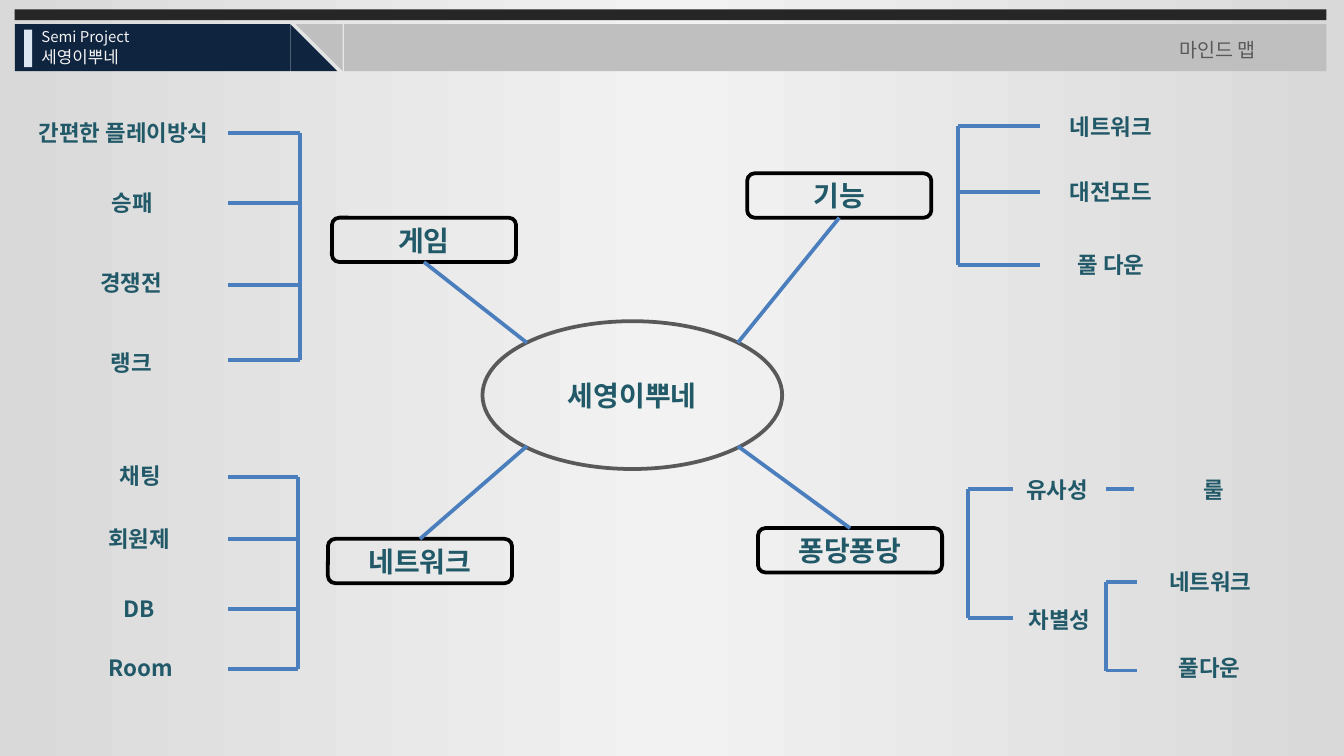
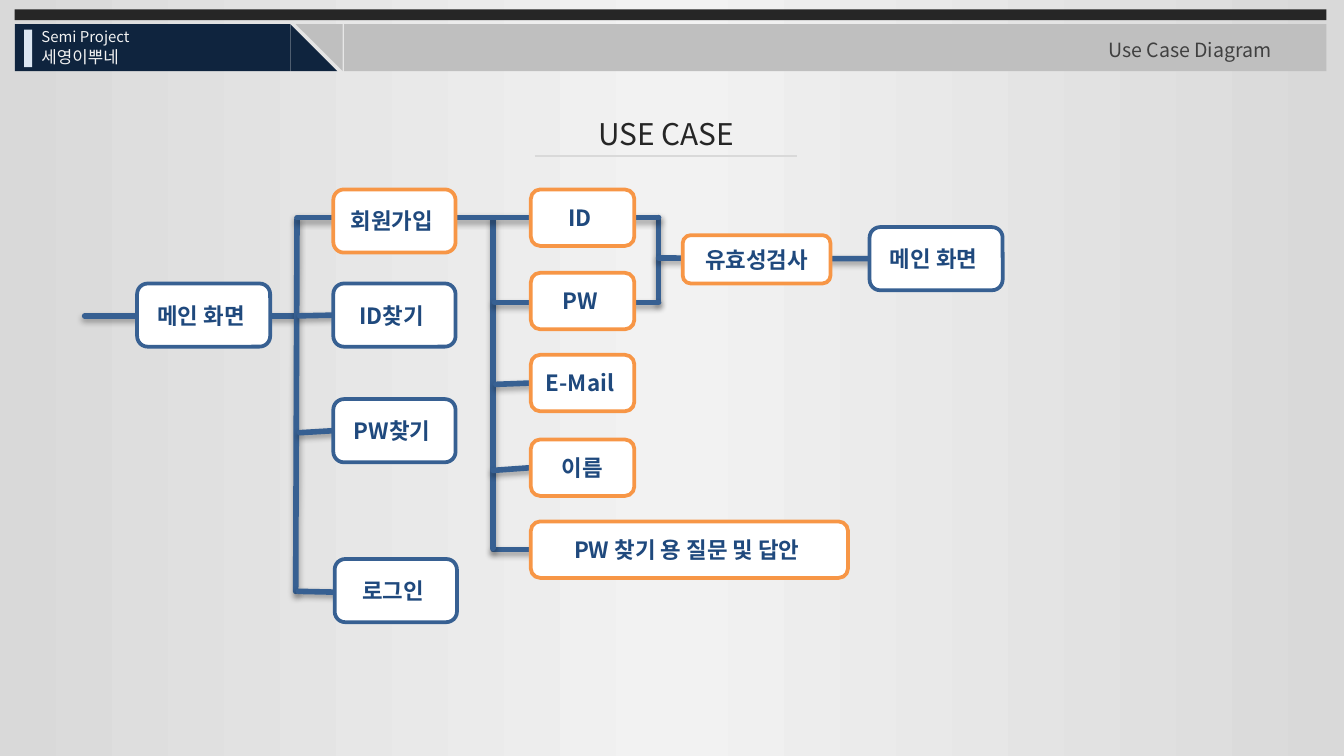
"""Build the mind map and use case slides of the team project deck."""
import lxml.etree
import pptx
import pptx.dml.color
import pptx.enum.shapes
import pptx.enum.text
import pptx.oxml
import pptx.oxml.ns
import pptx.util

EMU_PER_PX = 9144
FONT = "Noto Sans CJK KR"
RGB = pptx.dml.color.RGBColor
BLACK = RGB(0x00, 0x00, 0x00)
WHITE = RGB(0xFF, 0xFF, 0xFF)
CHARCOAL = RGB(0x26, 0x26, 0x26)
DARK_GRAY = RGB(0x40, 0x40, 0x40)
GRAY = RGB(0x59, 0x59, 0x59)
SILVER = RGB(0xBF, 0xBF, 0xBF)
EDGE_GRAY = RGB(0xD9, 0xD9, 0xD9)
PALE = RGB(0xF2, 0xF2, 0xF2)
NAVY = RGB(0x0F, 0x24, 0x3E)
ICE = RGB(0xDC, 0xE6, 0xF2)
TEAL = RGB(0x21, 0x59, 0x68)
BRANCH_BLUE = RGB(0x4B, 0x7E, 0xBC)
FLOW_BLUE = RGB(0x37, 0x60, 0x92)
TEXT_BLUE = RGB(0x1F, 0x49, 0x7D)
ORANGE = RGB(0xF7, 0x96, 0x46)
SHAPE = pptx.enum.shapes.MSO_SHAPE
LEFT = pptx.enum.text.PP_ALIGN.LEFT
CENTER = pptx.enum.text.PP_ALIGN.CENTER
TOP = pptx.enum.text.MSO_ANCHOR.TOP
MIDDLE = pptx.enum.text.MSO_ANCHOR.MIDDLE
TOP_SITE, LEFT_SITE, BOTTOM_SITE = 0, 1, 2
qn = pptx.oxml.ns.qn
NAMESPACES = pptx.oxml.ns.nsdecls("a", "p")

BACKGROUND = f"""<p:bg {NAMESPACES}><p:bgPr><a:gradFill rotWithShape="1"><a:gsLst>
<a:gs pos="0"><a:srgbClr val="{EDGE_GRAY}"/></a:gs>
<a:gs pos="50000"><a:srgbClr val="{PALE}"/></a:gs>
<a:gs pos="100000"><a:srgbClr val="{EDGE_GRAY}"/></a:gs>
</a:gsLst><a:lin ang="0" scaled="0"/></a:gradFill><a:effectLst/></p:bgPr></p:bg>"""
SHADOW = f"""<a:effectLst {NAMESPACES}><a:outerShdw blurRad="40000" dist="23000" dir="5400000"
rotWithShape="0"><a:srgbClr val="{BLACK}"><a:alpha val="35000"/></a:srgbClr></a:outerShdw></a:effectLst>"""


def write(shape, text, size, color, bold=False, align=CENTER, anchor=MIDDLE, outline=0):
    """Write one formatted run; outline is the opacity of its edge in percent."""
    frame = shape.text_frame
    frame.word_wrap = True
    frame.vertical_anchor = anchor
    paragraph = frame.paragraphs[0]
    paragraph.alignment = align
    run = paragraph.add_run()
    run.text = text
    run.font.size = pptx.util.Pt(size)
    run.font.bold = bold
    run.font.color.rgb = color
    run.font.name = FONT
    properties = run.font._element
    lxml.etree.SubElement(properties, qn("a:ea")).set("typeface", FONT)
    if outline:
        properties.insert(0, pptx.oxml.parse_xml(
            f'<a:ln {NAMESPACES} w="9525"><a:solidFill><a:srgbClr val="{color}">'
            f'<a:alpha val="{outline * 1000}"/></a:srgbClr></a:solidFill></a:ln>'))


def add_line(slide, ends, color, width, shadow=False):
    """Draw a straight connector between two points given in px."""
    connector = slide.shapes.add_connector(
        pptx.enum.shapes.MSO_CONNECTOR.STRAIGHT, *[value * EMU_PER_PX for value in ends])
    connector.line.color.rgb = color
    connector.line.width = pptx.util.Pt(width)
    properties = connector.element.spPr
    if shadow:
        properties.find(qn("a:ln")).set("cap", "rnd")
        properties.append(pptx.oxml.parse_xml(SHADOW))
    else:
        lxml.etree.SubElement(properties, qn("a:effectLst"))
    return connector


presentation = pptx.Presentation()
presentation.slide_width = 1000 * EMU_PER_PX
presentation.slide_height = pptx.util.Inches(5.625)

bands = [
    (SHAPE.RECTANGLE, 11, 7, 976, 8, CHARCOAL, 0),
    (SHAPE.RECTANGLE, 11, 18, 205, 35, NAVY, 0),
    (SHAPE.RIGHT_TRIANGLE, 216, 18, 35, 35, NAVY, 0),
    (SHAPE.RECTANGLE, 256, 18, 731, 35, SILVER, 0),
    (SHAPE.RIGHT_TRIANGLE, 220, 18, 35, 35, SILVER, 180),
    (SHAPE.RECTANGLE, 18, 22, 6, 28, ICE, 0),
]
team_lines = [("Semi Project", 16, 150, 24, 8), ("세영이뿌네", 30, 195, 25, 9)]
titles = [("마인드 맵", 820, 172, GRAY, CENTER), ("Use Case Diagram", 815, 177, DARK_GRAY, LEFT)]
slides = []
for title_text, left, width, color, align in titles:
    slide = presentation.slides.add_slide(presentation.slide_layouts[5])
    slides.append(slide)
    slide.element.cSld.insert(0, pptx.oxml.parse_xml(BACKGROUND))
    for kind, *box, fill, rotation in bands:
        band = slide.shapes.add_shape(kind, *[value * EMU_PER_PX for value in box])
        band.shadow.inherit = False
        band.fill.solid()
        band.fill.fore_color.rgb = fill
        band.line.fill.background()
        band.rotation = rotation
    for text, top, box_width, height, size in team_lines:
        team_box = slide.shapes.add_textbox(
            *[value * EMU_PER_PX for value in (21, top, box_width, height)])
        write(team_box, text, size, PALE, align=LEFT, anchor=TOP, outline=10)
    title = slide.shapes.title
    title.left, title.top, title.width, title.height = [
        value * EMU_PER_PX for value in (left, 23, width, 28)]
    write(title, title_text, 10.5, color, align=align, anchor=TOP, outline=10)
    title.text_frame.auto_size = pptx.enum.text.MSO_AUTO_SIZE.NONE
    slide.shapes.element.append(title.element)

mind_map, use_case = slides

topics = [
    ("세영이뿌네", SHAPE.OVAL, 359, 239, 223, 110, GRAY, None),
    ("게임", SHAPE.ROUNDED_RECTANGLE, 247, 162, 137, 33, BLACK, (392, 255, BOTTOM_SITE)),
    ("기능", SHAPE.ROUNDED_RECTANGLE, 556, 129, 137, 33, BLACK, (549, 255, BOTTOM_SITE)),
    ("퐁당퐁당", SHAPE.ROUNDED_RECTANGLE, 564, 393, 137, 33, BLACK, (549, 332, TOP_SITE)),
    ("네트워크", SHAPE.ROUNDED_RECTANGLE, 244, 401, 137, 33, BLACK, (392, 332, TOP_SITE)),
]
for text, kind, *box, outline_color, spoke in topics:
    topic = mind_map.shapes.add_shape(kind, *[value * EMU_PER_PX for value in box])
    topic.shadow.inherit = False
    topic.fill.background()
    topic.line.color.rgb = outline_color
    topic.line.width = pptx.util.Pt(2)
    write(topic, text, 15, TEAL, bold=True)
    if spoke:
        hub_x, hub_y, site = spoke
        connector = add_line(mind_map, (hub_x, hub_y, hub_x, hub_y), BRANCH_BLUE, 2)
        connector.end_connect(topic, site)

brackets = [
    (223, 170, [("간편한 플레이방식", 99, 12, 84, 160), ("승패", 151, 69, 136, 59),
                ("경쟁전", 212, 62, 195, 71), ("랭크", 268, 62, 255, 71)]),
    (222, 170, [("채팅", 355, 69, 339, 71), ("회원제", 401, 68, 386, 71),
                ("DB", 453, 68, 438, 71), ("Room", 498, 69, 482, 71)]),
    (713, 774, [("네트워크", 94, 774, 79, 105), ("대전모드", 143, 774, 128, 105),
                ("풀 다운", 197, 774, 182, 105)]),
    (720, 754, [("유사성", 364, 734, 349, 105), ("차별성", 460, 736, 446, 105)]),
    (823, 844, [("룰", 364, 843, 349, 120)]),
    (823, 846, [("네트워크", 433, 844, 418, 113), ("풀다운", 499, 820, 482, 160)]),
]
for spine_x, tip_x, branches in brackets:
    first, last = branches[0][1], branches[-1][1]
    if last > first:
        add_line(mind_map, (spine_x, first, spine_x, last), BRANCH_BLUE, 2)
    for text, tick_y, left, top, width in branches:
        add_line(mind_map, (spine_x, tick_y, tip_x, tick_y), BRANCH_BLUE, 2)
        label = mind_map.shapes.add_textbox(
            *[value * EMU_PER_PX for value in (left, top, width, 30)])
        write(label, text, 12, TEAL, bold=True, anchor=TOP)

heading = use_case.shapes.add_textbox(*[value * EMU_PER_PX for value in (375, 68, 242, 50)])
write(heading, "USE CASE", 16, CHARCOAL, outline=26)
heading.text_frame.paragraphs[0].line_spacing = 1.5
add_line(use_case, (398, 116, 593, 116), EDGE_GRAY, 1)

flows = [
    (63, 235, 219, 235, None),
    (221, 163, 220, 440, None),
    (223, 322, 248, 322, "PW찾기 "),
    (223, 235, 248, 235, "ID찾기 "),
    (419, 409, 367, 409, None),
    (367, 163, 367, 408, None),
    (367, 350, 395, 350, "이름"),
    (490, 224, 490, 162, None),
    (490, 192, 647, 192, "메인 화면 "),
    (368, 225, 490, 225, None),
    (369, 286, 394, 286, "E-Mail "),
    (490, 162, 221, 162, None),
    (222, 440, 312, 442, None),
]
joins = []
for *ends, target in flows:
    connector = add_line(use_case, ends, FLOW_BLUE, 3, shadow=True)
    if target:
        joins.append((connector, target))

steps = [
    ("메인 화면 ", 102, 211, 99, 47, FLOW_BLUE),
    ("회원가입 ", 248, 141, 91, 47, ORANGE),
    ("ID찾기 ", 248, 211, 91, 47, FLOW_BLUE),
    ("PW찾기 ", 248, 297, 91, 47, FLOW_BLUE),
    ("로그인 ", 249, 416, 91, 47, FLOW_BLUE),
    ("ID ", 395, 141, 77, 42, ORANGE),
    ("PW ", 395, 203, 77, 42, ORANGE),
    ("E-Mail ", 395, 264, 77, 42, ORANGE),
    ("이름", 395, 327, 77, 42, ORANGE),
    ("PW 찾기 용 질문 및 답안 ", 395, 388, 236, 42, ORANGE),
    ("유효성검사", 508, 175, 110, 36, ORANGE),
    ("메인 화면 ", 647, 169, 99, 47, FLOW_BLUE),
]
step_shapes = {}
for text, *box, outline_color in steps:
    step = use_case.shapes.add_shape(
        SHAPE.ROUNDED_RECTANGLE, *[value * EMU_PER_PX for value in box])
    step.shadow.inherit = False
    step.fill.solid()
    step.fill.fore_color.rgb = WHITE
    step.line.color.rgb = outline_color
    step.line.width = pptx.util.Pt(2)
    step.text_frame.margin_left = step.text_frame.margin_right = 0
    write(step, text, 12, TEXT_BLUE, bold=True)
    step_shapes[text] = step
for connector, target in joins:
    connector.end_connect(step_shapes[target], LEFT_SITE)

presentation.save("out.pptx")
